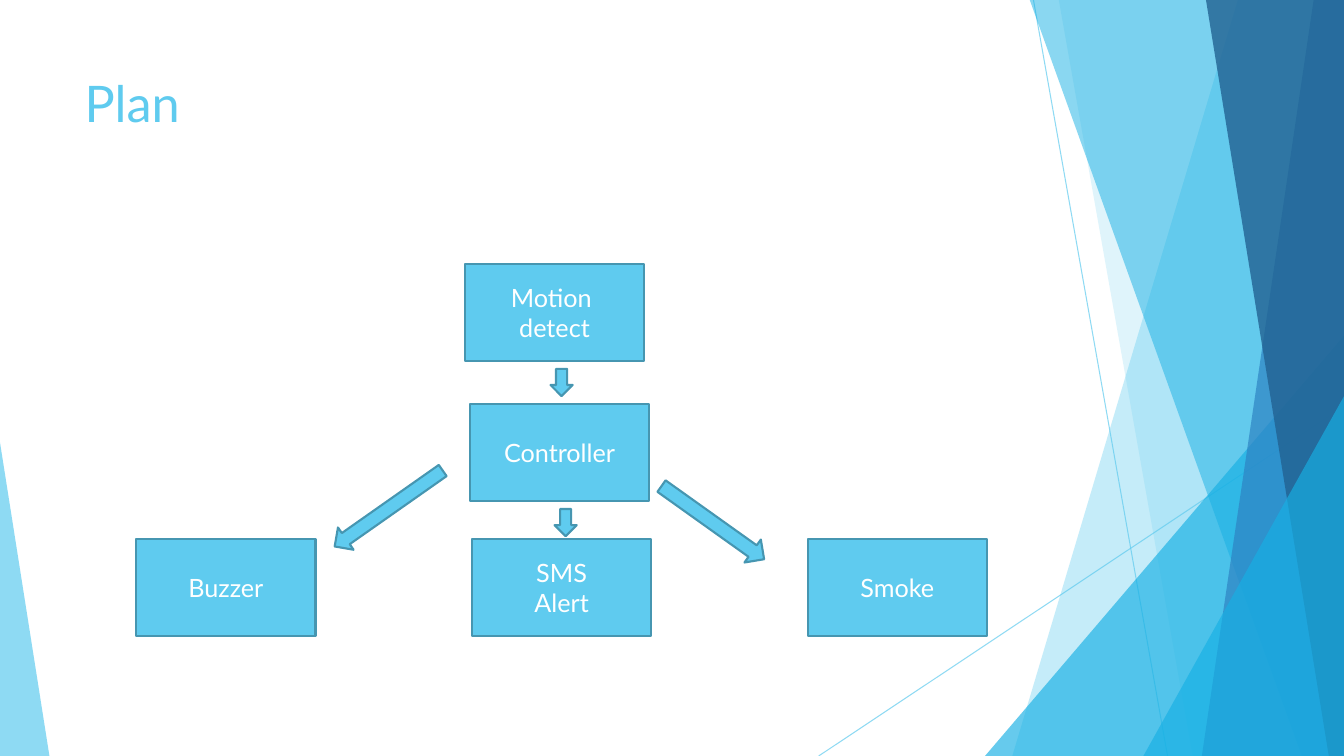
from dataclasses import dataclass

from lxml import etree
from pptx import Presentation
from pptx.dml.color import RGBColor
from pptx.enum.shapes import MSO_CONNECTOR, MSO_SHAPE
from pptx.enum.text import MSO_ANCHOR, PP_ALIGN
from pptx.oxml.ns import qn
from pptx.util import Emu, Pt

RECTANGLE = MSO_SHAPE.RECTANGLE
DOWN_ARROW = MSO_SHAPE.DOWN_ARROW
TRIANGLE = MSO_SHAPE.ISOSCELES_TRIANGLE
STRAIGHT = MSO_CONNECTOR.STRAIGHT
TOP, MIDDLE = MSO_ANCHOR.TOP, MSO_ANCHOR.MIDDLE
LEFT, CENTER = PP_ALIGN.LEFT, PP_ALIGN.CENTER

EMU_PER_PX = 9144  # 100 px to the inch
SLIDE_WIDTH, SLIDE_HEIGHT = 1333, 750
BOX_WIDTH, BOX_HEIGHT = 178, 96
FACET_TOP = -1

FONT = "Lato"
SKY, CYAN, BLUE, NAVY = "5FCBEF", "17B0E4", "2E83C3", "226292"
OUTLINE, WHITE = "4696B1", "FFFFFF"


@dataclass(frozen=True)
class Ray:
    start: tuple[int, int]
    end: tuple[int, int]


@dataclass(frozen=True)
class Panel:
    """Area between a slanted left edge and the slide's right edge."""
    top_x: int
    bottom_x: int
    color: str
    opacity: int


@dataclass(frozen=True)
class Wedge:
    """Triangle standing on the slide's bottom edge."""
    left: int
    top: int
    width: int
    apex: int
    color: str
    opacity: int


@dataclass(frozen=True)
class Box:
    label: str
    left: int
    top: int


@dataclass(frozen=True)
class Arrow:
    left: int
    top: int
    width: int
    height: int
    rotation: float = 0


RAYS = [Ray((1025, 0), (1158, 750)), Ray((1333, 403), (812, 750))]
FACETS = [
    Panel(1228, 1004, SKY, 36),
    Panel(1050, 1183, SKY, 20),
    Wedge(977, 333, 356, 1, CYAN, 66),
    Panel(1021, 1291, CYAN, 50),
    Panel(1303, 1192, BLUE, 70),
    Panel(1196, 1318, NAVY, 80),
    Wedge(1134, 393, 199, 1, CYAN, 66),
    Wedge(0, 439, 49, 0, SKY, 70),
]
OUTPUTS = ["Buzzer", "SMS\nAlert", "Smoke"]
OUTPUT_LEFT, OUTPUT_STEP, OUTPUT_TOP = 135, 333, 535
BOXES = [
    Box("Motion \ndetect", 461, 262),
    *(Box(label, OUTPUT_LEFT + i * OUTPUT_STEP, OUTPUT_TOP)
      for i, label in enumerate(OUTPUTS)),
    Box("Controller", 466, 401),
]
ARROWS = [
    Arrow(372, 439, 27, 131, 54.9),
    Arrow(693, 456, 28, 125, 305.5),
    Arrow(550, 505, 22, 27),
    Arrow(546, 366, 22, 27),
]


def px(length: int) -> Emu:
    return Emu(length * EMU_PER_PX)


def rgb(color: str) -> RGBColor:
    return RGBColor.from_string(color)


def set_opacity(shape, percent: int) -> None:
    for color in shape.element.iter(qn("a:srgbClr")):
        etree.SubElement(color, qn("a:alpha")).set("val", str(percent * 1000))


def write_text(shape, text: str, *, size: int, color: str, align=CENTER, anchor=MIDDLE) -> None:
    frame = shape.text_frame
    frame.word_wrap = True
    frame.vertical_anchor = anchor
    frame.text = text
    for paragraph in frame.paragraphs:
        paragraph.alignment = align
        paragraph.font.name = FONT
        paragraph.font.size = Pt(size)
        paragraph.font.color.rgb = rgb(color)


def paint(shape, color: str, outline: str | None = None) -> None:
    shape.shadow.inherit = False
    shape.fill.solid()
    shape.fill.fore_color.rgb = rgb(color)
    if outline:
        shape.line.color.rgb = rgb(outline)
        shape.line.width = Pt(1.5)
    else:
        shape.line.fill.background()


def draw_ray(slide, ray: Ray) -> None:
    line = slide.shapes.add_connector(STRAIGHT, *map(px, ray.start + ray.end))
    line.line.color.rgb = rgb(SKY)
    line.line.width = Pt(0.75)
    set_opacity(line, 70)
    etree.SubElement(line.element.spPr, qn("a:effectLst"))


def draw_facet(slide, facet: Panel | Wedge) -> None:
    if isinstance(facet, Panel):
        outline = slide.shapes.build_freeform(facet.top_x, FACET_TOP, scale=EMU_PER_PX)
        outline.add_line_segments([
            (SLIDE_WIDTH, FACET_TOP),
            (SLIDE_WIDTH, SLIDE_HEIGHT),
            (facet.bottom_x, SLIDE_HEIGHT),
        ])
        shape = outline.convert_to_shape()
    else:
        shape = slide.shapes.add_shape(
            TRIANGLE, px(facet.left), px(facet.top),
            px(facet.width), px(SLIDE_HEIGHT - facet.top))
        shape.adjustments[0] = facet.apex
    paint(shape, facet.color)
    set_opacity(shape, facet.opacity)


def draw_box(slide, box: Box) -> None:
    shape = slide.shapes.add_shape(
        RECTANGLE, px(box.left), px(box.top), px(BOX_WIDTH), px(BOX_HEIGHT))
    paint(shape, SKY, OUTLINE)
    write_text(shape, box.label, size=18, color=WHITE)


def draw_arrow(slide, arrow: Arrow) -> None:
    shape = slide.shapes.add_shape(
        DOWN_ARROW, px(arrow.left), px(arrow.top), px(arrow.width), px(arrow.height))
    shape.rotation = arrow.rotation
    paint(shape, SKY, OUTLINE)


def main() -> None:
    presentation = Presentation()
    presentation.slide_width = px(SLIDE_WIDTH)
    presentation.slide_height = px(SLIDE_HEIGHT)
    slide = presentation.slides.add_slide(presentation.slide_layouts[6])

    for ray in RAYS:
        draw_ray(slide, ray)
    for facet in FACETS:
        draw_facet(slide, facet)

    title = slide.shapes.add_textbox(px(74), px(67), px(940), px(144))
    write_text(title, "Plan", size=36, color=SKY, align=LEFT, anchor=TOP)

    for box in BOXES:
        draw_box(slide, box)
    for arrow in ARROWS:
        draw_arrow(slide, arrow)

    presentation.save("out.pptx")


if __name__ == "__main__":
    main()
